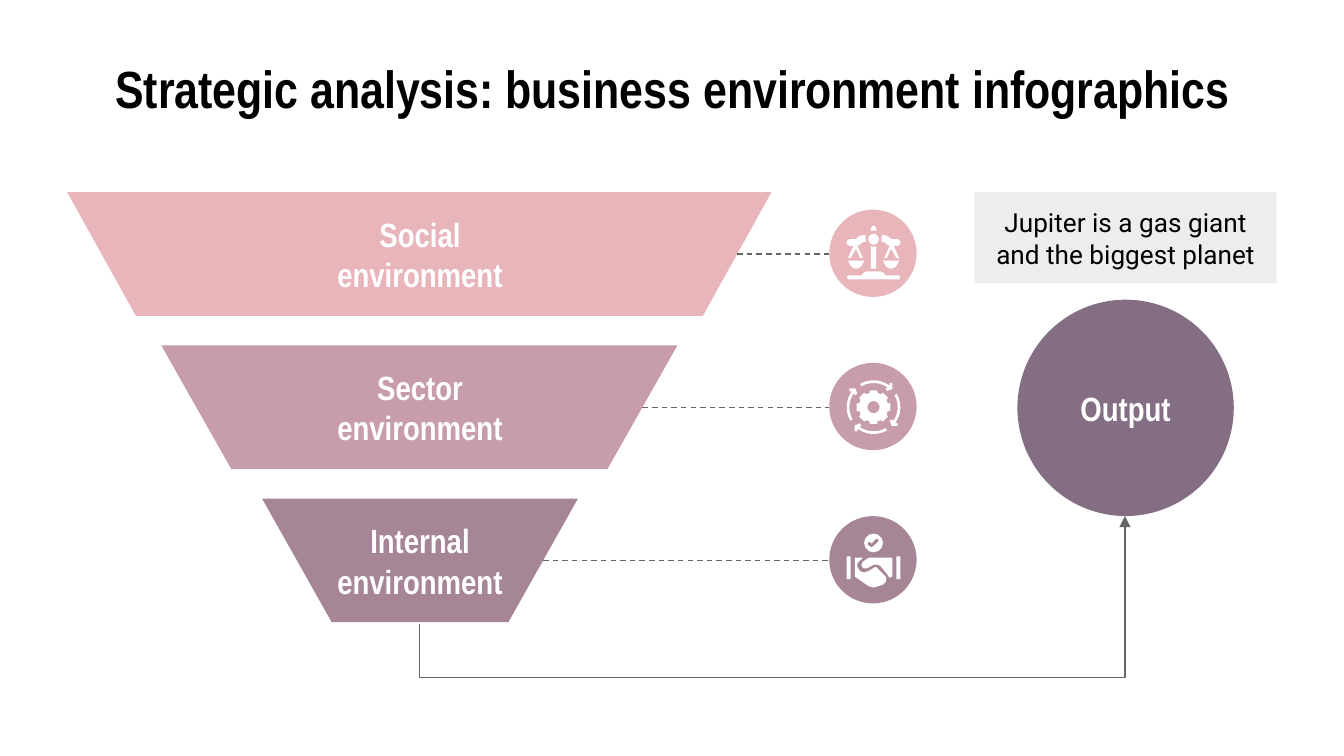
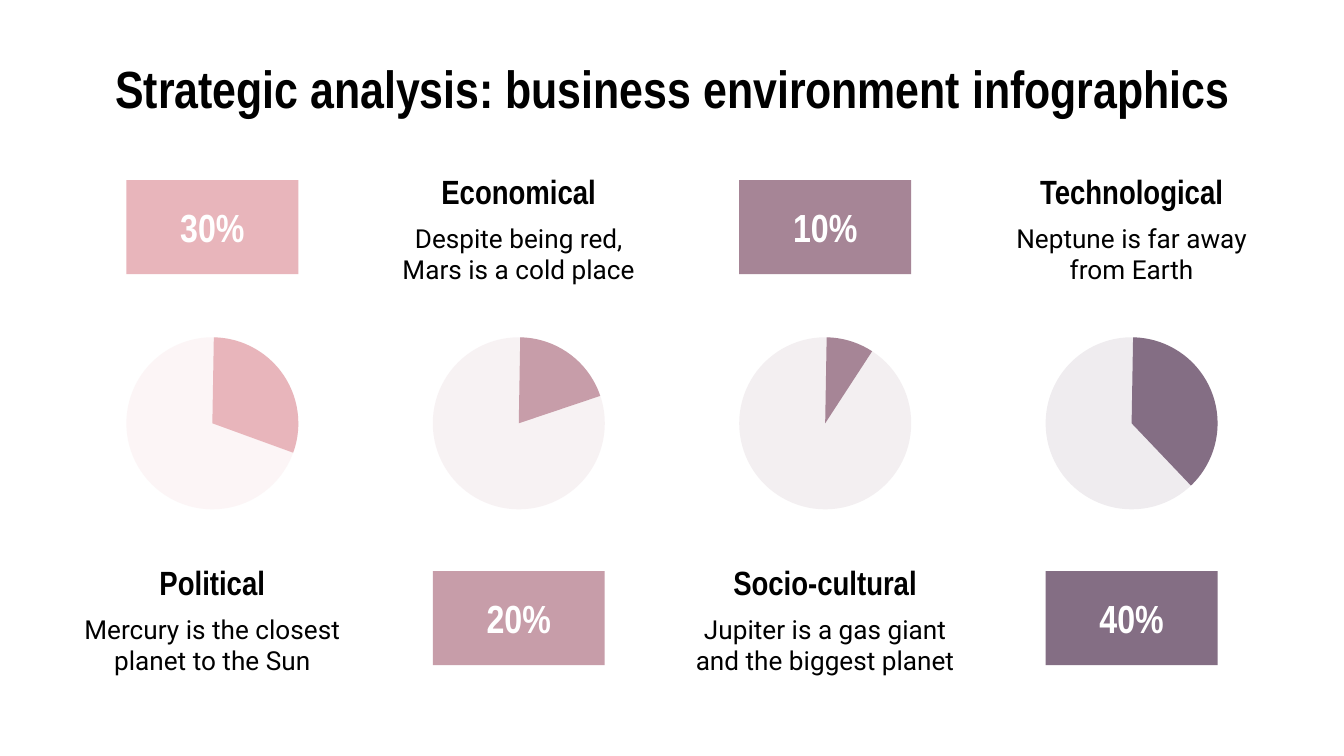
from math import cos, radians, sin

from lxml.etree import SubElement
from pptx import Presentation
from pptx.dml.color import RGBColor
from pptx.enum.dml import MSO_LINE
from pptx.enum.shapes import MSO_CONNECTOR, MSO_SHAPE
from pptx.enum.text import MSO_ANCHOR, MSO_AUTO_SIZE, PP_ALIGN
from pptx.oxml.ns import qn
from pptx.util import Inches, Pt

# Shared look
TITLE = "Strategic analysis: business environment infographics"
TONES = ["E8B5BB", "C79DA9", "A68596", "846E84"]
BLACK, WHITE, GREY = "000000", "FFFFFF", "666666"
HEAD = {"name": "Arial Narrow", "size": Pt(28), "bold": True}
LABEL = {"name": "Arial Narrow", "size": Pt(18), "bold": True}
BADGE = {"name": "Arial Narrow", "size": Pt(21), "bold": True}
BODY = {"name": "Roboto", "size": Pt(14), "bold": False}
FRAME = {
    "margin_left": Inches(0.1), "margin_right": Inches(0.1),
    "margin_top": Inches(0.1), "margin_bottom": Inches(0.1),
    "word_wrap": True, "auto_size": MSO_AUTO_SIZE.NONE,
    "vertical_anchor": MSO_ANCHOR.MIDDLE,
}


def tint(part, hue):
    part.rgb = RGBColor.from_string(hue)


def apply(item, style):
    for key, value in style.items():
        setattr(item, key, value)


def write(shape, text, style, hue):
    frame = shape.text_frame
    apply(frame, FRAME)
    frame.text = text
    para = frame.paragraphs[0]
    para.alignment = PP_ALIGN.CENTER
    apply(para.runs[0].font, style)
    tint(para.runs[0].font.color, hue)


def paint(shape, hue, alpha=None):
    shape.shadow.inherit = False
    shape.fill.solid()
    tint(shape.fill.fore_color, hue)
    shape.line.fill.background()
    if alpha:
        color = shape.element.spPr.find(qn("a:solidFill"))[0]
        SubElement(color, qn("a:alpha")).set("val", str(alpha * 1000))
    return shape


def form(slide, kind, box, hue, alpha=None):
    return paint(slide.shapes.add_shape(kind, *map(Inches, box)), hue, alpha)


def note(slide, box, text, style, hue=BLACK):
    write(slide.shapes.add_textbox(*map(Inches, box)), text, style, hue)


def link(slide, kind, ends):
    line = slide.shapes.add_connector(kind, *map(Inches, ends))
    line.line.width = Pt(0.75)
    tint(line.line.color, GREY)
    SubElement(line.element.spPr, qn("a:effectLst"))
    return line


def start(deck):
    slide = deck.slides.add_slide(deck.slide_layouts[5])
    title = slide.shapes.title
    place = dict(zip(("left", "top", "width", "height"),
                     map(Inches, (0.5, 0.45, 9, 0.41))))
    apply(title, place)
    write(title, TITLE, HEAD, BLACK)
    return slide


# Icons: points are hundredths of an inch from the corner of the disc
def draw(slide, left, top, rings, hue=WHITE):
    rings = [[(x * 100, y * 100) for x, y in ring] for ring in rings]
    pen = slide.shapes.build_freeform(*rings[0][0], scale=Inches(1) / 10000)
    for ring in rings:
        pen.move_to(*ring[0])
        pen.add_line_segments(ring[1:], close=True)
    paint(pen.convert_to_shape(Inches(left), Inches(top)), hue)


def polar(size, angle, mid=33):
    return mid + size * cos(radians(angle)), mid + size * sin(radians(angle))


def scales(slide, left, top, hue):
    pan = [(14, 38), (16, 42), (18, 43.5), (20, 44), (22, 43.5), (24, 42),
           (26, 38)]
    arm = [(25, 19), (22, 20), (20, 22), (15, 22), (13.5, 23), (13, 24.5),
           (13.5, 26), (15, 27), (18, 27), (14, 36), (16, 36), (20, 29),
           (23, 36), (25, 36), (21, 27), (23, 26), (25, 24), (27, 24),
           (27, 19)]
    for half in (pan, arm):
        draw(slide, left, top, [half])
        draw(slide, left, top, [[(66 - x, y) for x, y in half]])
    base = [(28, 46), (25.5, 47), (24, 49), (14, 49), (13, 50.5), (14, 52),
            (52, 52), (53, 50.5), (52, 49), (42, 49), (40.5, 47), (38, 46)]
    cap = [(31, 16), (31, 14), (32, 12.3), (33, 12), (34, 12.3), (35, 14),
           (35, 16), (33, 15.3)]
    post = [(31, 27), (31, 44), (35, 44), (35, 27), (33, 28)]
    for ring in (base, cap, post):
        draw(slide, left, top, [ring])
    form(slide, MSO_SHAPE.OVAL, (left + 0.29, top + 0.18, 0.08, 0.08), WHITE)


def gear(slide, left, top, hue):
    teeth = [polar(size, 45 * step + shift) for step in range(8)
             for shift, size in ((-16, 11), (-12, 12.8),
                                 (12, 12.8), (16, 11))]
    hole = [polar(4.5, angle) for angle in range(0, 360, 15)]
    draw(slide, left, top, [teeth, hole])
    # Four arrows, each a quarter turn on
    sweep = range(240, 307, 11)
    arrow = [polar(20, angle, 0) for angle in sweep]
    arrow += [(12, -18), (14, -18), (14, -13.5), (10, -12), (9, -14)]
    arrow += [polar(18, angle, 0) for angle in reversed(sweep)]
    for turn in range(4):
        draw(slide, left, top, [[(33 + x, 33 + y) for x, y in arrow]])
        arrow = [(-y, x) for x, y in arrow]


def shake(slide, left, top, hue):
    form(slide, MSO_SHAPE.OVAL, (left + 0.26, top + 0.13, 0.14, 0.14), WHITE)
    check = [(35, 17), (36.5, 17.5), (36.5, 19), (32, 23), (31, 23),
             (28.5, 21), (29.5, 19), (31.5, 20.5)]
    draw(slide, left, top, [check], hue)
    for shift in (0.13, 0.5):
        bar = (left + shift, top + 0.3, 0.03, 0.17)
        form(slide, MSO_SHAPE.ROUNDED_RECTANGLE, bar, WHITE)
    palm = [(19, 31), (19, 45), (29, 52), (32, 53), (34, 53), (40, 51),
            (42, 49), (42.5, 47), (42, 45), (36, 39), (35, 38), (34, 38),
            (29, 41), (26, 42), (23, 41), (21, 38), (21, 35), (25, 31)]
    back = [(47, 31), (30, 31), (29, 31.3), (25, 34), (24, 36), (24.5, 38),
            (26, 39), (28, 39), (33, 36.3), (35, 36), (38, 37), (43, 43),
            (45, 46), (47, 45)]
    for ring in (palm, back):
        draw(slide, left, top, [ring])


# Funnel slide
def level(slide, box, slant, text, icon, hue):
    left, top, width, high = box
    shape = form(slide, MSO_SHAPE.TRAPEZOID, box, hue)
    shape.rotation = 180
    shape.adjustments[0] = slant
    note(slide, (2.13, top + 0.12, 1.99, 0.68), text, LABEL, WHITE)
    disc, mid = 6.17, top + high / 2
    form(slide, MSO_SHAPE.OVAL, (disc, top + 0.13, 0.65, 0.65), hue)
    icon(slide, disc, top + 0.13, hue)
    edge = left + width - slant * high / 2
    line = link(slide, MSO_CONNECTOR.STRAIGHT, (edge, mid, disc, mid))
    line.line.dash_style = MSO_LINE.DASH


def result(slide, left, top):
    disc = form(slide, MSO_SHAPE.OVAL, (left + 0.32, top + 0.8, 1.61, 1.61),
                TONES[3])
    write(disc, "Output", LABEL, WHITE)
    card = form(slide, MSO_SHAPE.RECTANGLE, (left, top, 2.25, 0.68),
                TONES[3], 13)
    write(card, "Jupiter is a gas giant and the biggest planet", BODY, BLACK)


def route(slide, left, low, right, high, drop):
    """Run from the funnel foot, down by drop, then up to the result."""
    wide, rise = right - left, low - high
    x, y = (left + right - rise) / 2, (low + high - wide) / 2
    line = link(slide, MSO_CONNECTOR.ELBOW, (x, y, x + rise, y + wide))
    props = line.element.spPr
    props.find(qn("a:xfrm")).set("rot", str(270 * 60000))
    guides = props.find(qn("a:prstGeom")).get_or_add_avLst()
    guide = SubElement(guides, qn("a:gd"))
    guide.set("name", "adj1")
    guide.set("fmla", f"val {round(-drop / rise * 100000)}")
    SubElement(props.find(qn("a:ln")), qn("a:tailEnd")).set("type", "triangle")


def funnel(deck):
    slide = start(deck)
    rows = [
        (0.5, 5.24, 0.555, "Social environment", scales),
        (1.2, 3.84, 0.566, "Sector environment", gear),
        (1.95, 2.35, 0.563, "Internal environment", shake),
    ]
    for step, (left, width, slant, text, icon) in enumerate(rows):
        box = (left, 1.43 + 1.14 * step, width, 0.92)
        level(slide, box, slant, text, icon, TONES[step])
    result(slide, 7.25, 1.43)
    route(slide, 3.12, 4.64, 8.37, 3.84, 0.4)


# Pie slide
def column(slide, left, flip, head, text, share, end, hue):
    disc = (left + 0.44, 2.51, 1.28, 1.28)
    form(slide, MSO_SHAPE.OVAL, disc, hue, 13)
    wedge = form(slide, MSO_SHAPE.PIE, disc, hue)
    for spot, angle in enumerate((271, end)):
        wedge.adjustments[spot] = angle * 0.6
    high, low = 1.24, 4.15
    top, side = (high, low) if flip else (low, high)
    note(slide, (left, top, 2.16, 0.36), head, LABEL)
    note(slide, (left, top + 0.38, 2.16, 0.53), text, BODY)
    badge = form(slide, MSO_SHAPE.RECTANGLE,
                 (left + 0.44, side + 0.1, 1.28, 0.7), hue)
    write(badge, share, BADGE, WHITE)


def pies(deck):
    slide = start(deck)
    cols = [
        ("Political", "Mercury is the closest planet to the Sun", "30%", 20),
        ("Economical", "Despite being red, Mars is a cold place", "20%", 341.4),
        ("Socio-cultural", "Jupiter is a gas giant and the biggest planet",
         "10%", 303.1),
        ("Technological", "Neptune is far away from Earth", "40%", 46.4),
    ]
    for step, col in enumerate(cols):
        column(slide, 0.5 + 2.28 * step, step % 2, *col, TONES[step])


def main():
    deck = Presentation()
    deck.slide_width = Inches(10)
    deck.slide_height = deck.slide_width * 9 // 16
    funnel(deck)
    pies(deck)
    deck.save("out.pptx")


if __name__ == "__main__":
    main()
